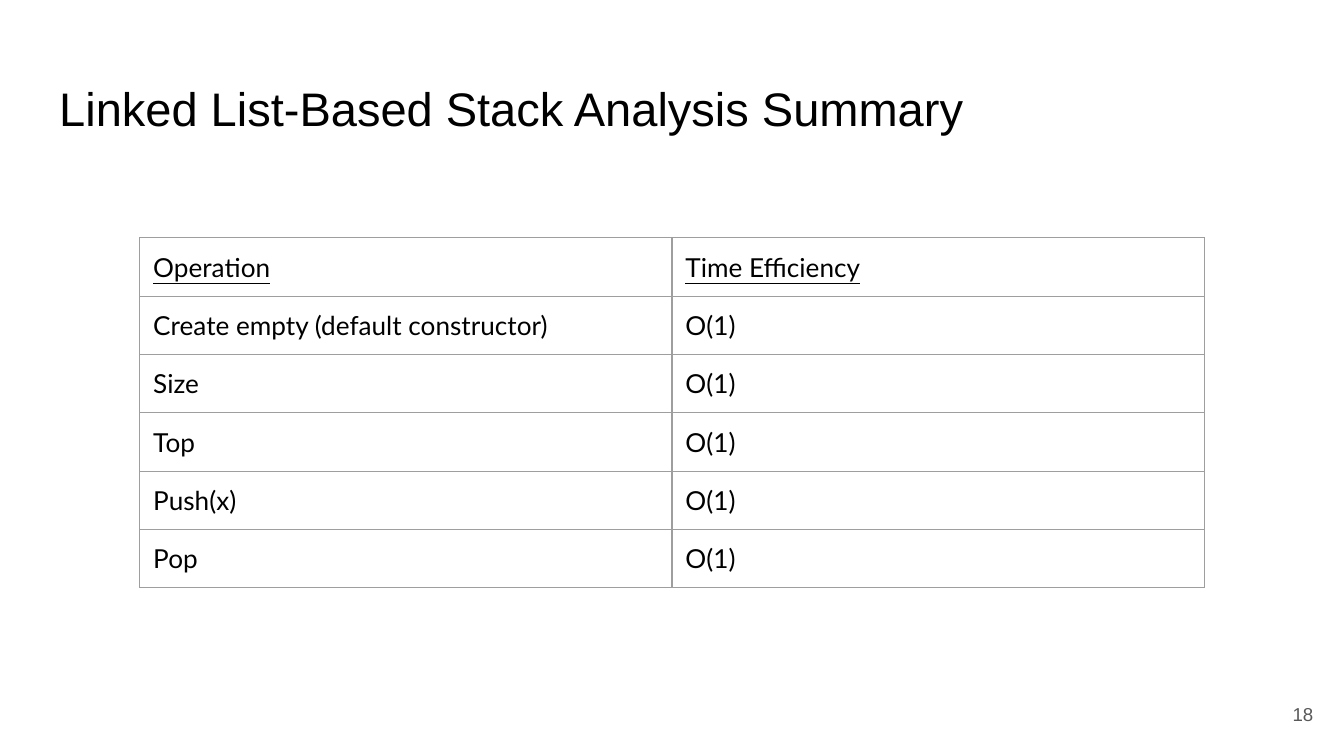
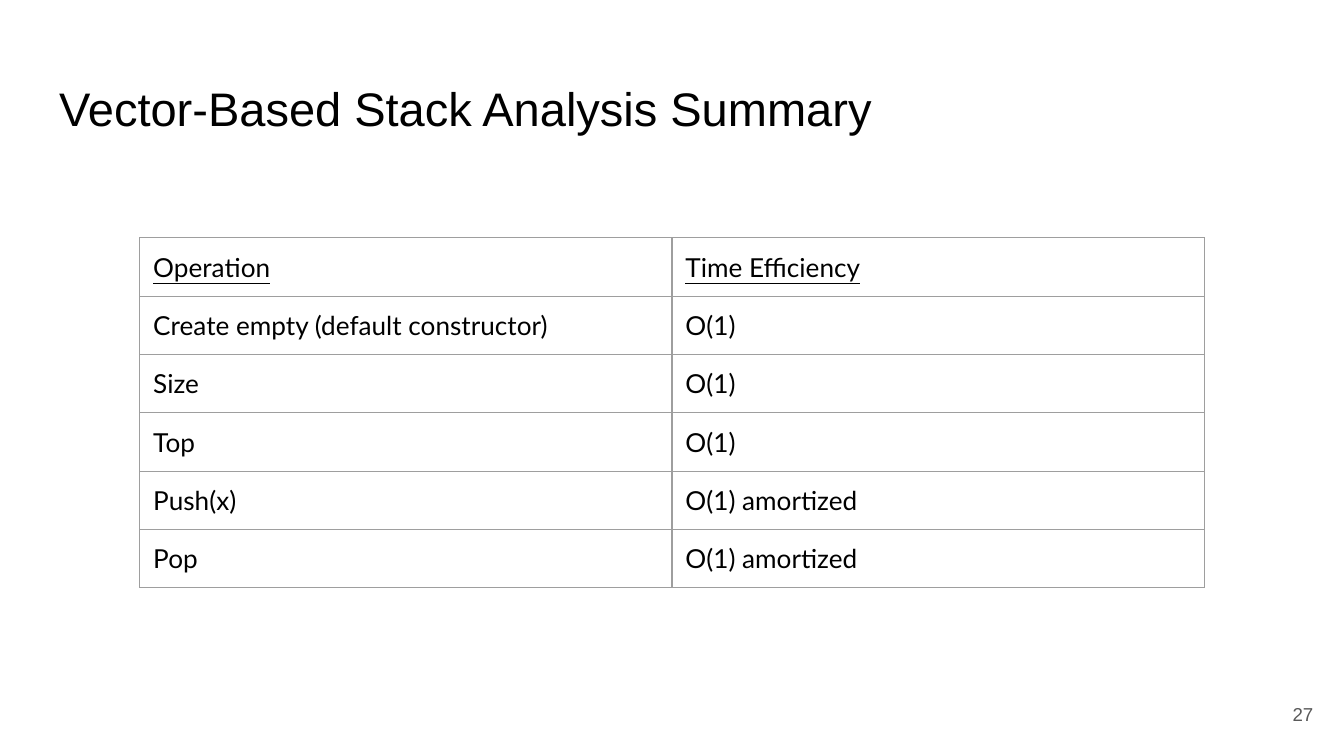
from dataclasses import dataclass

from lxml import etree
from pptx import Presentation
from pptx.dml.color import RGBColor
from pptx.enum.text import MSO_ANCHOR, MSO_AUTO_SIZE, PP_ALIGN
from pptx.oxml.ns import qn
from pptx.presentation import Presentation as Deck
from pptx.slide import Slide
from pptx.table import _Cell as Cell
from pptx.text.text import TextFrame
from pptx.util import Inches, Pt

LEFT, RIGHT = PP_ALIGN.LEFT, PP_ALIGN.RIGHT
TOP, MIDDLE = MSO_ANCHOR.TOP, MSO_ANCHOR.MIDDLE
FIXED = MSO_AUTO_SIZE.NONE
TITLE_ONLY = 5

BLACK, GREY, RULE = "000000", "595959", "9E9E9E"
SANS, LATO = "Arial", "Lato"
WIDTH = Inches(10)
HEIGHT = WIDTH * 9 // 16
PAD = Inches(0.1)
COL, ROW = Inches(3.96), Inches(0.42)
HEADS = ("Operation", "Time Efficiency")
TASKS = ("Create empty (default constructor)", "Size", "Top", "Push(x)", "Pop")


@dataclass(frozen=True)
class Summary:
    title: str
    page: int
    costs: tuple[str, ...]


PAGES = (
    Summary("Linked List-Based Stack Analysis Summary", 18, ("O(1)",) * 5),
    Summary("Vector-Based Stack Analysis Summary", 27,
            ("O(1)",) * 3 + ("O(1) amortized",) * 2),
)


def color(code: str) -> RGBColor:
    return RGBColor.from_string(code)


def write(frame: TextFrame, text: str, *, size: float, font: str = SANS,
          ink: str = BLACK, align: PP_ALIGN = LEFT, under: bool = False) -> None:
    para = frame.paragraphs[0]
    para.alignment = align
    run = para.add_run()
    run.text = text
    run.font.name = font
    run.font.size = Pt(size)
    run.font.color.rgb = color(ink)
    run.font.underline = under


def fit(frame: TextFrame, anchor: MSO_ANCHOR) -> None:
    frame.word_wrap = True
    frame.auto_size = FIXED
    frame.vertical_anchor = anchor
    frame.margin_left = frame.margin_right = PAD
    frame.margin_top = frame.margin_bottom = PAD


def border(cell: Cell) -> None:
    props = cell._tc.get_or_add_tcPr()
    for side in ("lnL", "lnR", "lnT", "lnB"):
        line = etree.SubElement(props, qn(f"a:{side}"), w=str(Pt(0.75)))
        fill = etree.SubElement(line, qn("a:solidFill"))
        etree.SubElement(fill, qn("a:srgbClr"), val=RULE)


def add_title(slide: Slide, text: str) -> None:
    title = slide.shapes.title
    title.left, title.top = Inches(0.34), Inches(0.49)
    title.width, title.height = Inches(9.32), Inches(0.63)
    fit(title.text_frame, TOP)
    write(title.text_frame, text, size=25.2)


def add_page(slide: Slide, page: int) -> None:
    box = slide.shapes.add_textbox(
        Inches(9.27), Inches(5.1), Inches(0.6), Inches(0.43))
    fit(box.text_frame, MIDDLE)
    write(box.text_frame, str(page), size=10, ink=GREY, align=RIGHT)


def add_grid(slide: Slide, rows: list[tuple[str, ...]]) -> None:
    count, width = len(rows), len(HEADS)
    table = slide.shapes.add_table(
        count, width, Inches(1.04), Inches(1.77), COL * width, ROW * count).table
    table.first_row = table.horz_banding = False
    for r, row in enumerate(rows):
        for c, text in enumerate(row):
            cell = table.cell(r, c)
            cell.margin_left = cell.margin_right = PAD
            cell.margin_top = cell.margin_bottom = PAD
            border(cell)
            cell.fill.background()
            write(cell.text_frame, text, size=14, font=LATO, under=r == 0)


def add_slide(deck: Deck, data: Summary) -> None:
    slide = deck.slides.add_slide(deck.slide_layouts[TITLE_ONLY])
    add_title(slide, data.title)
    add_page(slide, data.page)
    add_grid(slide, [HEADS, *zip(TASKS, data.costs)])


def main() -> None:
    deck = Presentation()
    deck.slide_width, deck.slide_height = WIDTH, HEIGHT
    for data in PAGES:
        add_slide(deck, data)
    deck.save("out.pptx")


if __name__ == "__main__":
    main()
